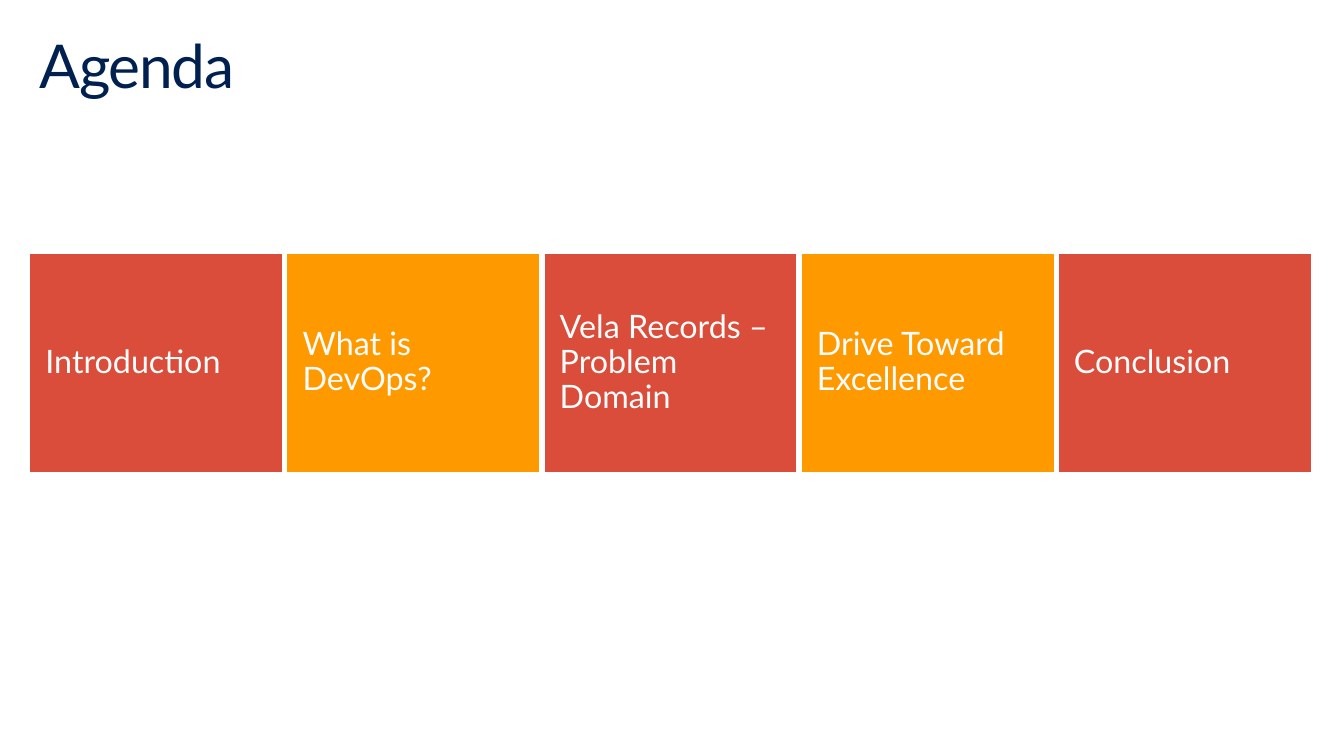
"""Build the agenda slide: a title above a row of topic tiles."""
from pptx import Presentation
from pptx.dml.color import RGBColor
from pptx.enum.shapes import MSO_SHAPE
from pptx.enum.text import MSO_ANCHOR, PP_ALIGN
from pptx.util import Inches, Pt

HUES = {"navy": "002050", "red": "D94D3A", "gold": "FF9900",
        "white": "FFFFFF", "pale": "FDFDFD"}
TOPICS = ["Introduction", "What is DevOps?", "Vela Records – Problem Domain",
          "Drive Toward Excellence", "Conclusion"]


def tint(name):
    return RGBColor.from_string(HUES[name])


def write(frame, text, size, hue, font="Lato", anchor=MSO_ANCHOR.TOP,
          pad=(0.1, 0.05), track=0):
    frame.word_wrap = True
    frame.vertical_anchor = anchor
    frame.margin_left = frame.margin_right = Inches(pad[0])
    frame.margin_top = frame.margin_bottom = Inches(pad[1])
    para = frame.paragraphs[0]
    para.alignment = PP_ALIGN.LEFT
    para.line_spacing = 0.9
    run = para.add_run()
    run.text = text
    run.font.name = font
    run.font.size = Pt(size)
    run.font.color.rgb = tint(hue)
    if track:
        run._r.get_or_add_rPr().set("spc", str(track * 100))


class Deck:
    """Hold the style, the column grid and the current slide."""
    wide, high = 13.6, 7.65
    left, span, gap = 0.3, 12.97, 0.04

    def __init__(self, cols):
        self.file = Presentation()
        self.file.slide_width = Inches(self.wide)
        self.file.slide_height = Inches(self.high)
        self.slide = self.file.slides.add_slide(self.file.slide_layouts[5])
        self.col = (self.span + self.gap) / cols

    def title(self, text):
        head = self.slide.shapes.title
        head.left, head.top = Inches(self.left), Inches(0.32)
        head.width, head.height = Inches(13), Inches(1)
        write(head.text_frame, text, 44, "navy", track=-1)

    def tile(self, text, col, top, tall, hue):
        box = self.slide.shapes.add_shape(
            MSO_SHAPE.RECTANGLE,
            Inches(self.left + col * self.col), Inches(top * self.high),
            Inches(self.col - self.gap), Inches(tall * self.high))
        box.shadow.inherit = False
        box.fill.solid()
        box.fill.fore_color.rgb = tint(hue)
        box.line.color.rgb = tint("white")
        box.line.width = Pt(0.85)
        write(box.text_frame, text, 23.5, "pale",
              anchor=MSO_ANCHOR.MIDDLE, pad=(0.16, 0.16))


def main():
    deck = Deck(len(TOPICS))
    deck.title("Agenda")
    for col, topic in enumerate(TOPICS):
        deck.tile(topic, col, 0.335, 0.29, ("red", "gold")[col % 2])
    deck.file.save("out.pptx")


if __name__ == "__main__":
    main()
